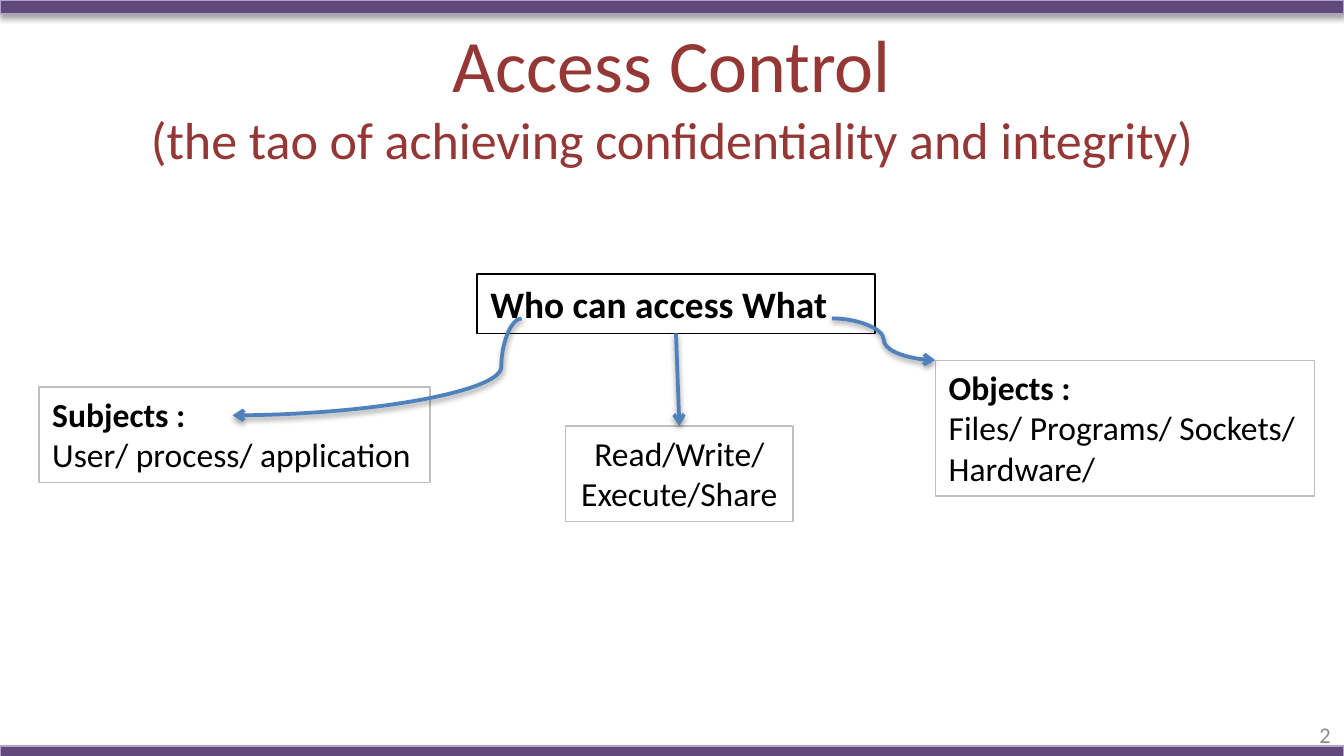
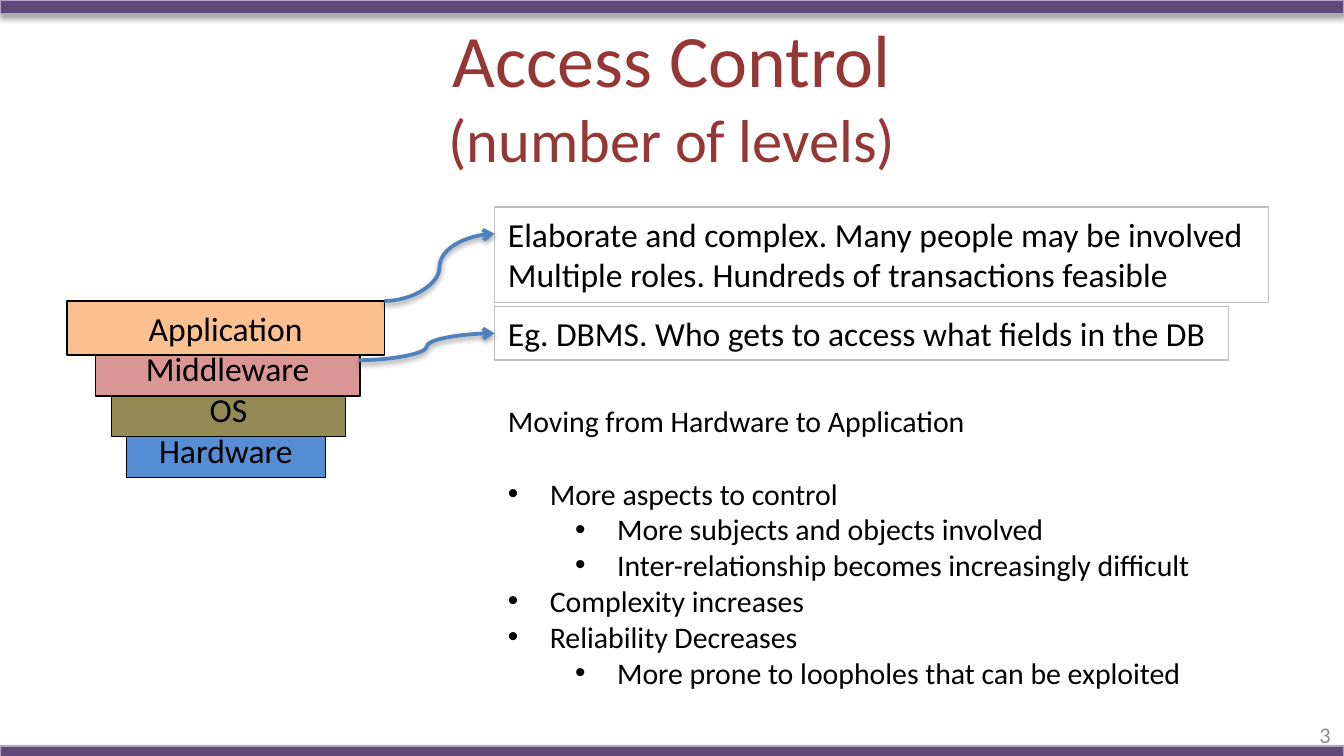
from lxml.etree import SubElement
from pptx import Presentation
from pptx.dml.color import RGBColor
from pptx.enum.shapes import MSO_CONNECTOR, MSO_SHAPE
from pptx.enum.text import MSO_ANCHOR, MSO_AUTO_SIZE, PP_ALIGN
from pptx.oxml.ns import qn
from pptx.util import Pt

PURPLE = RGBColor(0x60, 0x4A, 0x7B)
LILAC = RGBColor(0xB3, 0xA2, 0xC7)
MAROON = RGBColor(0x95, 0x37, 0x35)
BLACK = RGBColor(0, 0, 0)
GREY = RGBColor(0x8C, 0x8C, 0x8C)
SILVER = RGBColor(0xBF, 0xBF, 0xBF)
ARROW_BLUE = RGBColor(0x4F, 0x81, 0xBD)
ORANGE = RGBColor(0xFA, 0xC0, 0x90)
PINK = RGBColor(0xD9, 0x96, 0x94)
OLIVE = RGBColor(0x94, 0x8A, 0x54)
BLUE = RGBColor(0x55, 0x8E, 0xD5)
FONT = "Calibri"
WIDTH, HEIGHT = 720, 405
BAND_TOPS = (0, 399.6)
BAND_HEIGHT = 7.2
CENTER = PP_ALIGN.CENTER

TITLE = "Access Control"
TITLE_SIZE = 39.6
SUBTITLES = [
    ("(the tao of achieving confidentiality and integrity)", 27.9),
    ("(number of levels)", 32.4),
]

QUESTION = ("Who can access What", (255.6, 146.9, 213.1, 31.7))
SUBJECTS = (["Subjects :", "User/ process/ application"], (20.9, 207.4, 209.5, 51.1))
ACTIONS = (["Read/Write/", "Execute/Share"], (303.1, 228.2, 121.7, 51.1))
OBJECTS = (["Objects :", "Files/ Programs/ Sockets/", "Hardware/"],
           (501.1, 193, 203, 72.7))
QUESTION_CURVES = [
    ((279.4, 170.6), (124.6, 222.5), 0.07),
    ((445.7, 170.6), (501.1, 193), 0.5),
]

LEVELS = [
    ("Application", 36, 169.9, ORANGE),
    ("Middleware", 51.1, 141.8, PINK),
    ("OS", 59.8, 125.3, OLIVE),
    ("Hardware", 67.7, 106.6, BLUE),
]
LEVEL_TOP, LEVEL_PITCH, LEVEL_HEIGHT = 161.3, 21.8, 29
REMARKS = [
    (["Elaborate and complex. Many people may be involved",
      "Multiple roles. Hundreds of transactions feasible"], (265, 110.9, 414.7, 51.1)),
    (["Eg. DBMS. Who gets to access what fields in the DB"], (265, 164.2, 393.1, 28.8)),
]
LEVEL_CURVES = [
    ((205.9, 161.3), (265, 125.3), 0.5),
    ((192.2, 193), (265, 178.6), 0.5),
]
TREND = "Moving from Hardware to Application"
TREND_AREA = (265, 212.4, 385.9, 184.3)
TREND_POINTS = [
    (0, "More aspects to control"),
    (1, "More subjects and objects involved"),
    (1, "Inter-relationship becomes increasingly difficult"),
    (0, "Complexity increases"),
    (0, "Reliability Decreases"),
    (1, "More prone to loopholes that can be exploited"),
]


def write(p, text, size=18, color=BLACK, bold=False, align=None):
    r = p.add_run()
    r.text = text
    r.font.name = FONT
    r.font.size = Pt(size)
    r.font.color.rgb = color
    r.font.bold = bold
    if align is not None:
        p.alignment = align


def add_shadow(spPr, alpha, distance):
    effects = spPr.find(qn("a:effectLst"))
    if effects is None:
        effects = SubElement(spPr, qn("a:effectLst"))
    shadow = SubElement(effects, qn("a:outerShdw"), blurRad=str(Pt(3.1)),
                        dist=str(Pt(distance)), dir="5400000", rotWithShape="0")
    color = SubElement(shadow, qn("a:srgbClr"), val="000000")
    SubElement(color, qn("a:alpha"), val=str(alpha * 1000))


def add_box(shapes, area, lines, line=None, fill=None, heading=False, **fmt):
    sp = shapes.add_textbox(*map(Pt, area))
    if line is not None:
        sp.line.color.rgb = line
        sp.line.width = Pt(0.75)
    if fill is not None:
        sp.fill.solid()
        sp.fill.fore_color.rgb = fill
    tf = sp.text_frame
    tf.word_wrap = True
    for i, text in enumerate(lines):
        p = tf.add_paragraph() if i else tf.paragraphs[0]
        write(p, text, bold=heading and i == 0, **fmt)
    return sp


def add_arrow(s, start, end, bend=None):
    kind = MSO_CONNECTOR.STRAIGHT if bend is None else MSO_CONNECTOR.CURVE
    cx = s.shapes.add_connector(kind, *map(Pt, start + end))
    cx.line.color.rgb = ARROW_BLUE
    cx.line.width = Pt(2)
    spPr = cx.element.spPr
    SubElement(spPr.find(qn("a:ln")), qn("a:tailEnd"), type="arrow")
    add_shadow(spPr, 38, 1.6)
    if bend is not None:
        geom = spPr.find(qn("a:prstGeom"))
        av = geom.find(qn("a:avLst"))
        if av is None:
            av = SubElement(geom, qn("a:avLst"))
        SubElement(av, qn("a:gd"), name="adj1", fmla=f"val {round(bend * 100000)}")
    return cx


def add_bands(s, layout):
    for i, top in enumerate(BAND_TOPS):
        sp = s.shapes.add_shape(MSO_SHAPE.RECTANGLE, 0, Pt(top), Pt(WIDTH), Pt(BAND_HEIGHT))
        sp.fill.solid()
        sp.fill.fore_color.rgb = PURPLE
        sp.line.color.rgb = LILAC
        sp.line.width = Pt(0.75)
        sp.shadow.inherit = False
        add_shadow(sp.element.spPr, 35, 1.8)
        layout.shapes.element.insert(2 + i, sp.element)


def add_slide(prs, layout, number, subtitle, size):
    s = prs.slides.add_slide(layout)
    title = s.shapes.title
    title.left, title.top, title.width, title.height = map(Pt, (36, 16.6, 648, 67.7))
    tf = title.text_frame
    tf.auto_size = MSO_AUTO_SIZE.NONE
    tf.vertical_anchor = MSO_ANCHOR.MIDDLE
    p = tf.paragraphs[0]
    write(p, TITLE, size=TITLE_SIZE, color=MAROON, align=CENTER)
    p.add_line_break()
    SubElement(p._p[-1], qn("a:rPr"), sz=str(round(TITLE_SIZE * 100)))
    write(p, subtitle, size=size, color=MAROON)
    sp = add_box(s.shapes, (552.2, 383, 167.8, 21.6), [str(number)],
                 size=12, color=GREY, align=PP_ALIGN.RIGHT)
    sp.text_frame.vertical_anchor = MSO_ANCHOR.MIDDLE
    return s


def fill_question_slide(s):
    text, area = QUESTION
    question = add_box(s.shapes, area, [text], line=BLACK, heading=True, size=20)
    for lines, area in (SUBJECTS, OBJECTS):
        add_box(s.shapes, area, lines, line=SILVER, heading=True)
    lines, area = ACTIONS
    actions = add_box(s.shapes, area, lines, line=SILVER, align=CENTER)
    cx = add_arrow(s, (362.2, 178.6), (363.9, 228.2))
    cx.begin_connect(question, 2)
    cx.end_connect(actions, 0)
    for curve in QUESTION_CURVES:
        add_arrow(s, *curve)


def fill_levels_slide(s):
    stack = s.shapes.add_group_shape()
    for i, (name, left, width, color) in reversed(list(enumerate(LEVELS))):
        area = (left, LEVEL_TOP + i * LEVEL_PITCH, width, LEVEL_HEIGHT)
        add_box(stack.shapes, area, [name], line=BLACK, fill=color, align=CENTER)
    for lines, area in REMARKS:
        add_box(s.shapes, area, lines, line=SILVER)
    for curve in LEVEL_CURVES:
        add_arrow(s, *curve)
    tf = add_box(s.shapes, TREND_AREA, [TREND], size=16).text_frame
    tf.paragraphs[0].space_after = Pt(19.5)
    for level, text in TREND_POINTS:
        p = tf.add_paragraph()
        p.level = level
        write(p, text, size=16)
        pPr = p._p.get_or_add_pPr()
        pPr.set("marL", str(Pt(22.5 + 36 * level)))
        pPr.set("indent", str(Pt(-22.5)))
        SubElement(pPr, qn("a:buFont"), typeface="Arial")
        SubElement(pPr, qn("a:buChar"), char="•")


def main():
    prs = Presentation()
    prs.slide_width, prs.slide_height = Pt(WIDTH), Pt(HEIGHT)
    layout = prs.slide_layouts[5]
    slides = [add_slide(prs, layout, number, *subtitle)
              for number, subtitle in enumerate(SUBTITLES, 2)]
    add_bands(slides[0], layout)
    fill_question_slide(slides[0])
    fill_levels_slide(slides[1])
    prs.save("out.pptx")


if __name__ == "__main__":
    main()
